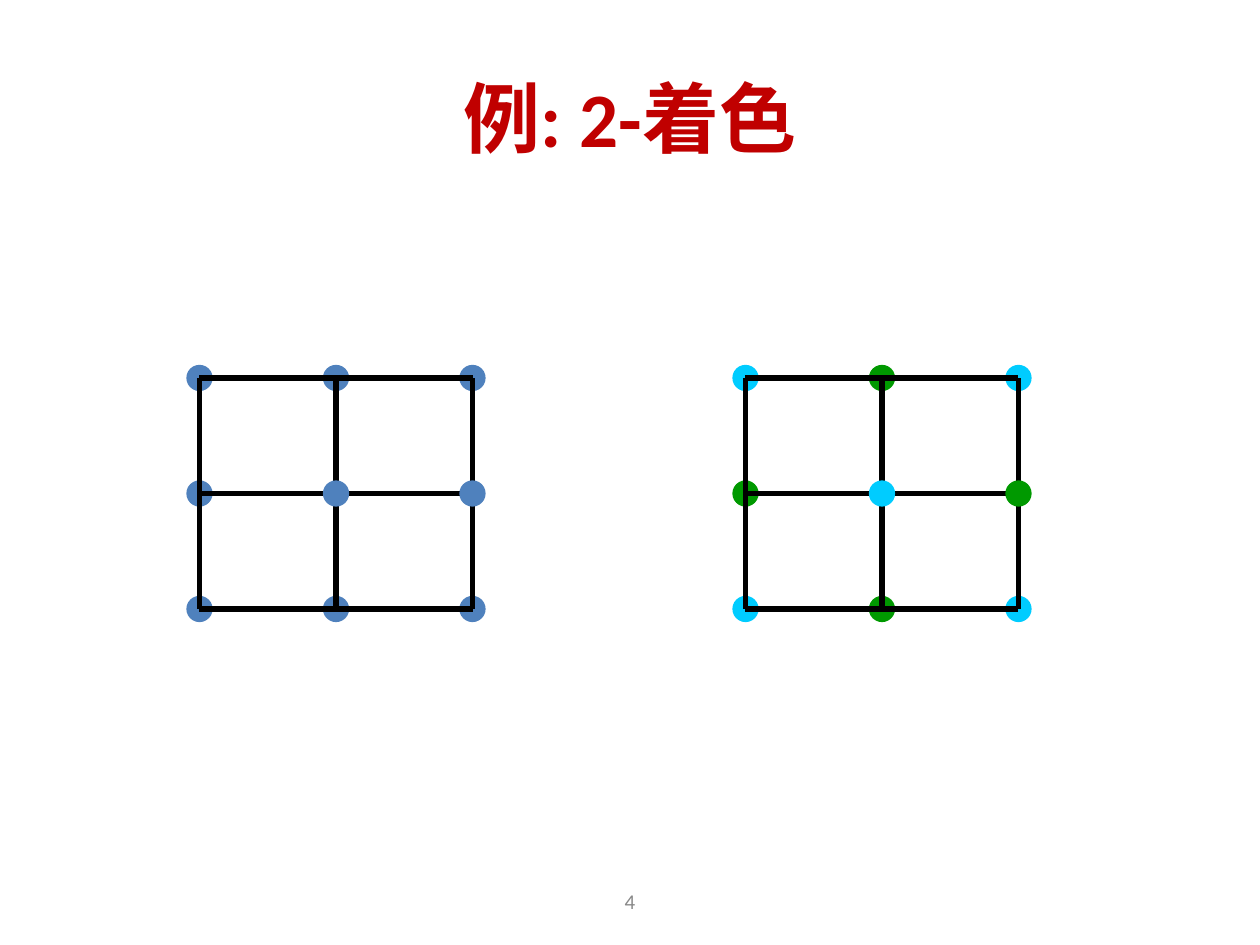
from pptx import Presentation
from pptx.dml.color import RGBColor
from pptx.enum.shapes import MSO_CONNECTOR, MSO_SHAPE
from pptx.enum.text import MSO_ANCHOR, PP_ALIGN
from pptx.oxml.ns import qn
from pptx.util import Pt
from lxml import etree

LINE, OVAL = MSO_CONNECTOR.STRAIGHT, MSO_SHAPE.OVAL
MIDDLE, CENTER = MSO_ANCHOR.MIDDLE, PP_ALIGN.CENTER
PX = 7620
COLORS = {"title": "C00000", "number": "898989", "edge": "000000",
          "plain": "4F81BD", "even": "00CCFF", "odd": "009900"}
FORMATS = {
    "title": {"name": "Calibri", "size": Pt(44), "bold": True},
    "number": {"name": "Calibri", "size": Pt(12), "bold": False},
}
COLS, ROWS = (0, 130, 260), (360, 470, 580)
NODE = 20
FRONT = [(1, 1), (2, 1)]
BACK = [(c, r) for r in range(3) for c in range(3) if (c, r) not in FRONT]
EDGES = [((c, r), (c + 1, r)) for r in range(3) for c in range(2)]
EDGES += [((c, r), (c, r + 1)) for c in range(3) for r in range(2)]
GRAPHS = [(190, ("plain", "plain")), (710, ("even", "odd"))]


def write(sp, box, text, style):
    sp.left, sp.top, sp.width, sp.height = [v * PX for v in box]
    tf = sp.text_frame
    tf.word_wrap = True
    tf.vertical_anchor = MIDDLE
    p = tf.paragraphs[0]
    p.alignment = CENTER
    r = p.add_run()
    r.text = text
    for key, value in FORMATS[style].items():
        setattr(r.font, key, value)
    r.font.color.rgb = RGBColor.from_string(COLORS[style])


def add_nodes(s, nodes, left, pair):
    for c, r in nodes:
        x, y = left + COLS[c] - NODE // 2, ROWS[r] - NODE // 2
        sp = s.shapes.add_shape(OVAL, x * PX, y * PX, NODE * PX, NODE * PX)
        sp.shadow.inherit = False
        color = RGBColor.from_string(COLORS[pair[(c + r) % 2]])
        sp.fill.solid()
        sp.fill.fore_color.rgb = color
        sp.line.color.rgb = color
        sp.line.width = Pt(3)


prs = Presentation()
prs.slide_width, prs.slide_height = 1200 * PX, 900 * PX
s = prs.slides.add_slide(prs.slide_layouts[5])

write(s.shapes.add_textbox(0, 0, 0, 0), (410, 834, 380, 48), "4", "number")
write(s.shapes.title, (60, 36, 1080, 150), "例: 2-着色", "title")

for left, pair in GRAPHS:
    add_nodes(s, BACK, left, pair)
    for (c1, r1), (c2, r2) in EDGES:
        edge = s.shapes.add_connector(
            LINE, (left + COLS[c1]) * PX, ROWS[r1] * PX,
            (left + COLS[c2]) * PX, ROWS[r2] * PX)
        edge.line.color.rgb = RGBColor.from_string(COLORS["edge"])
        edge.line.width = Pt(3)
        etree.SubElement(edge._element.spPr, qn("a:effectLst"))
    add_nodes(s, FRONT, left, pair)

prs.save("out.pptx")
